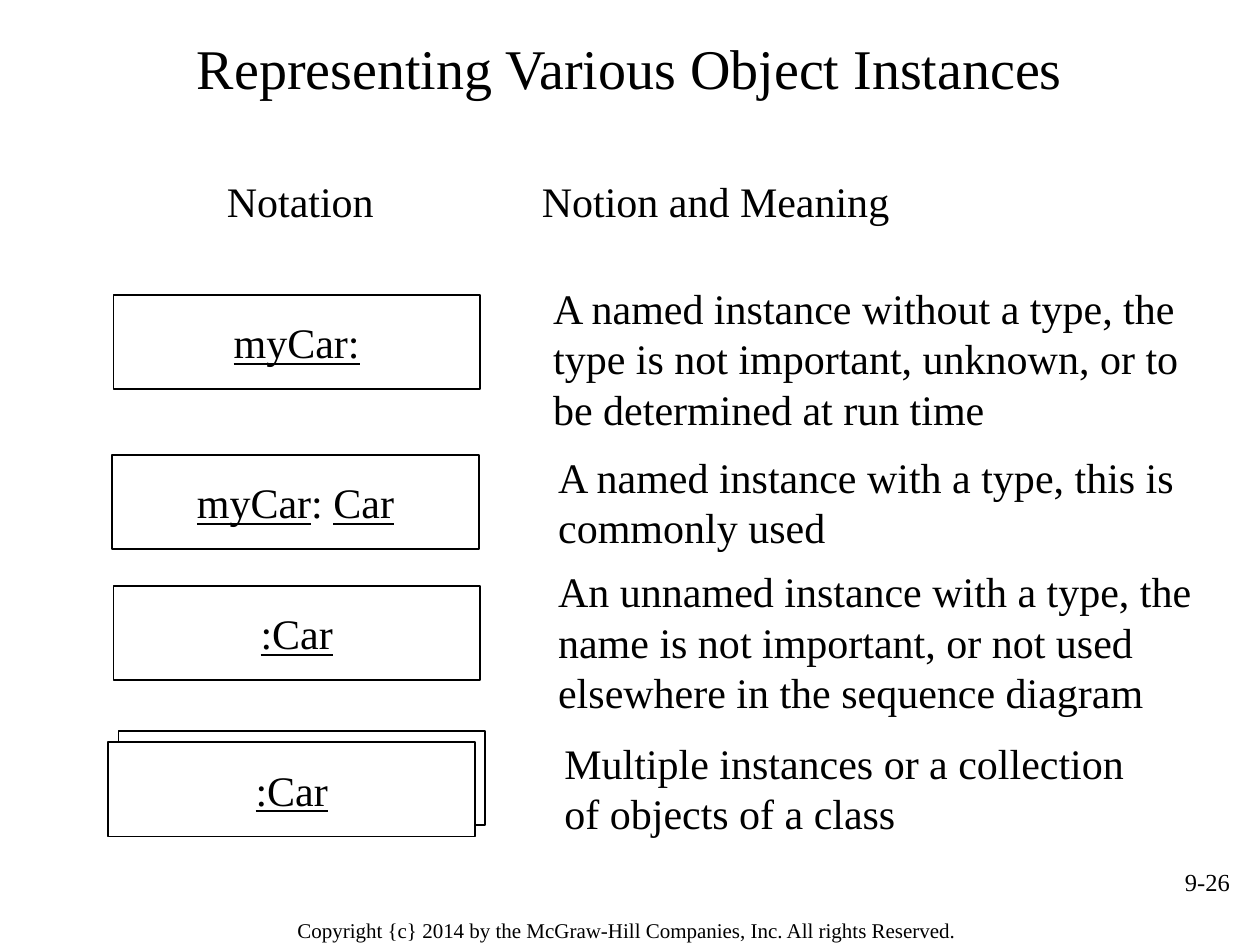
from dataclasses import dataclass

from pptx import Presentation
from pptx.dml.color import RGBColor
from pptx.enum.shapes import MSO_SHAPE
from pptx.enum.text import MSO_ANCHOR, MSO_AUTO_SIZE, PP_ALIGN
from pptx.util import Inches, Pt


@dataclass
class Theme:
    ink: RGBColor = RGBColor(0, 0, 0)
    paper: RGBColor = RGBColor(255, 255, 255)
    face: str = "Times New Roman"
    title: int = 32
    text: int = 24
    page: int = 14
    foot: int = 12
    edge: int = 1
    lead: float = 28.8


def apply(item, form):
    for name, value in form.items():
        setattr(item, name, value)


class Deck:
    """Places elements on a grid of 100 columns by 75 rows."""

    def __init__(self, theme):
        self.theme = theme
        self.prs = Presentation()
        apply(self.prs, {"slide_width": Inches(10), "slide_height": Inches(7.5)})
        self.slide = self.prs.slides.add_slide(self.prs.slide_layouts[5])

    def area(self, col, row, cols, rows):
        wide, high = self.prs.slide_width / 100, self.prs.slide_height / 75
        return [int(n) for n in (col * wide, row * high, cols * wide, rows * high)]

    def fill(self, frame, lines, size, align=PP_ALIGN.LEFT, pad=(0, 0), lead=None, **form):
        """Fill a frame; underscores switch underlining on and off."""
        side, edge = (Inches(n) for n in pad)
        apply(frame, {"margin_left": side, "margin_right": side,
                      "margin_top": edge, "margin_bottom": edge,
                      "auto_size": MSO_AUTO_SIZE.NONE, "word_wrap": True, **form})
        for i, line in enumerate(lines):
            para = frame.add_paragraph() if i else frame.paragraphs[0]
            para.alignment = align
            if lead:
                para.line_spacing = Pt(lead)
            for n, part in enumerate(line.split("_")):
                if part:
                    run = para.add_run()
                    run.text = part
                    apply(run.font, {"name": self.theme.face, "size": Pt(size),
                                     "underline": n % 2 == 1})
                    run.font.color.rgb = self.theme.ink

    def title(self, text, *place):
        shape = self.slide.shapes.title
        apply(shape, dict(zip(("left", "top", "width", "height"), self.area(*place))))
        self.fill(shape.text_frame, [text], self.theme.title, PP_ALIGN.CENTER,
                  (0.1, 0.05), vertical_anchor=MSO_ANCHOR.MIDDLE)

    def text(self, lines, place, size=None, **form):
        box = self.slide.shapes.add_textbox(*self.area(*place))
        self.fill(box.text_frame, lines, size or self.theme.text, **form)

    def box(self, place, label="", home=None):
        shapes = (home or self.slide).shapes
        shape = shapes.add_shape(MSO_SHAPE.RECTANGLE, *self.area(*place))
        shape.shadow.inherit = False
        shape.fill.solid()
        shape.fill.fore_color.rgb = self.theme.paper
        shape.line.color.rgb = self.theme.ink
        shape.line.width = Pt(self.theme.edge)
        if label:
            self.fill(shape.text_frame, [label], self.theme.text, PP_ALIGN.CENTER,
                      (0.1, 0.05), word_wrap=False, vertical_anchor=MSO_ANCHOR.MIDDLE)

    def stack(self, back, front, label):
        group = self.slide.shapes.add_group_shape()
        self.box(back, home=group)
        self.box(front, label, group)


def main():
    theme = Theme()
    deck = Deck(theme)
    size = (29.1, 7.5)

    # Title and column heads
    deck.title("Representing Various Object Instances", 5, 1.4, 90, 7.8)
    deck.text(["Notation\t\t\tNotion and Meaning"], (18, 13.9, 67.6, 4),
              lead=theme.lead, word_wrap=False)

    # Notation boxes
    for col, row, label in ((9, 23.4, "_myCar:_"), (8.9, 36.1, "_myCar_: _Car_"),
                            (9, 46.5, "_:Car_")):
        deck.box((col, row, *size), label)
    deck.stack((9.4, 58, *size), (8.6, 58.9, *size), "_:Car_")

    # Meanings
    notes = (
        ((43.9, 22.4, 52.2, 12), True,
         ["A named instance without a type, the",
          "type is not important, unknown, or to be determined at run time"]),
        ((44.3, 35.8, 49.1, 8), False,
         ["A named instance with a type, this is", "commonly used"]),
        ((44.3, 44.9, 50.3, 12), False,
         ["An unnamed instance with a type, the", "name is not important, or not used",
          "elsewhere in the sequence diagram"]),
        ((44.8, 58.5, 47.7, 8), True,
         ["Multiple instances or a collection of objects of a class"]),
    )
    for place, wrap, lines in notes:
        deck.text(lines, place, lead=theme.lead, word_wrap=wrap)

    # Page number and copyright line
    deck.text(["9-26"], (75.3, 68.3, 23.3, 5.2), theme.page,
              align=PP_ALIGN.RIGHT, pad=(0.1, 0.05))
    deck.text(["Copyright {c} 2014 by the McGraw-Hill Companies, Inc. All rights Reserved."],
              (18.8, 72.2, 61.9, 3.1), theme.foot, align=PP_ALIGN.CENTER, pad=(0.11, 0.06))

    deck.prs.save("out.pptx")


if __name__ == "__main__":
    main()
